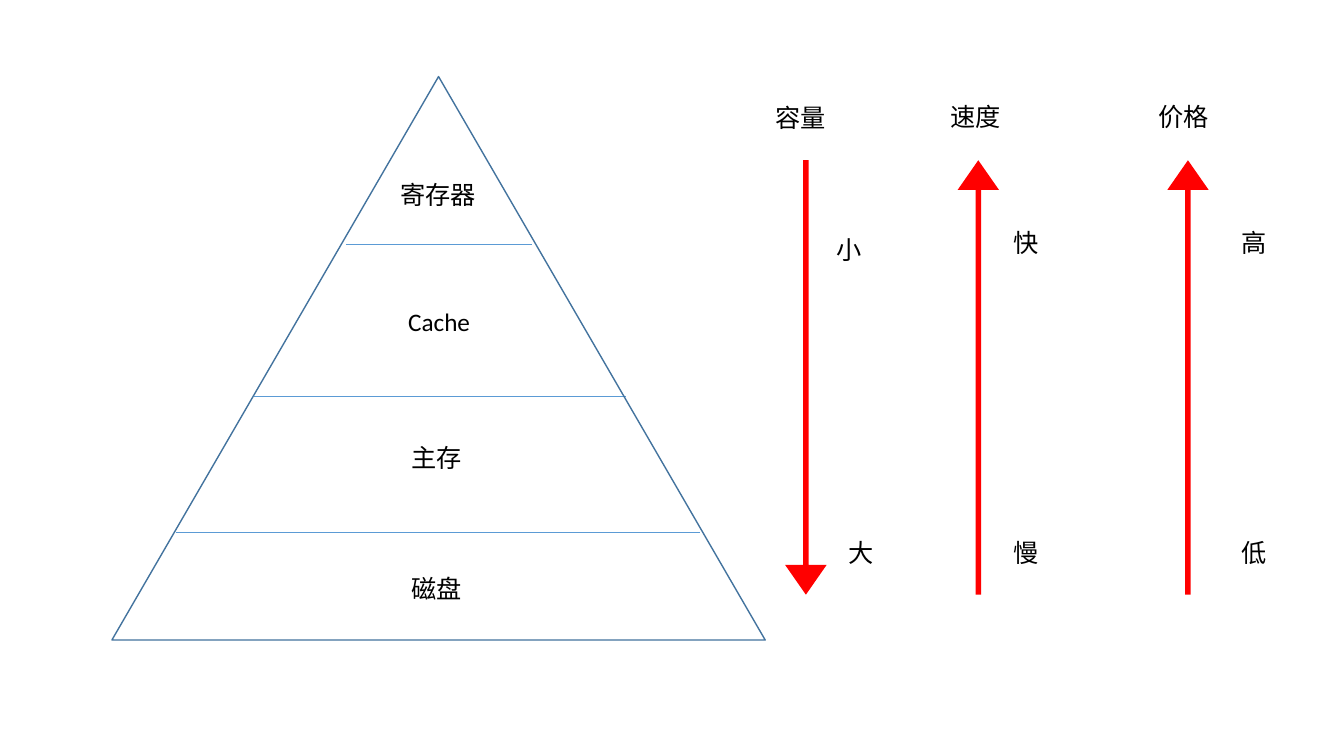
"""Build a slide of the memory hierarchy pyramid with its three trend arrows."""
from dataclasses import dataclass

from lxml.etree import SubElement
from pptx import Presentation
from pptx.dml.color import RGBColor
from pptx.enum.shapes import MSO_CONNECTOR as Connector, MSO_SHAPE as Preset
from pptx.enum.text import MSO_AUTO_SIZE as AutoSize
from pptx.oxml.ns import qn
from pptx.shapes.shapetree import _BaseGroupShapes as Shapes
from pptx.util import Inches, Length, Pt

WIDTH, HEIGHT = Inches(13.33), Inches(7.5)
LABEL_HEIGHT = 5.33


@dataclass(frozen=True)
class Label:
    """A word at a place given in percent of the slide."""
    text: str
    left: float
    top: float
    width: float
    wrap: bool = True


@dataclass(frozen=True)
class Divider:
    """A level line of the pyramid in percent of the slide."""
    left: float
    right: float
    top: float


@dataclass(frozen=True)
class Trend:
    """An arrow centre in percent of the slide width, and its turn."""
    centre: float
    rotation: int


DIVIDERS = [
    Divider(25.73, 39.6, 32.27),
    Divider(18.9, 46.58, 52.4),
    Divider(13.13, 52.05, 70.4),
]
LEVELS = [
    Label("寄存器", 29.03, 23.07, 7.2, wrap=False),
    Label("Cache", 29.63, 39.87, 7.28),
    Label("主存", 29.85, 57.87, 5.55),
    Label("磁盘", 29.85, 75.2, 5.93),
]
TRENDS = [Trend(59.96, 90), Trend(72.79, 270), Trend(88.39, 270)]
TREND_LABELS = [
    Label("容量", 56.93, 12.93, 6.45),
    Label("速度", 69.98, 12.8, 5.63),
    Label("价格", 85.43, 12.8, 6.45),
    Label("小", 61.5, 30.4, 3.38, wrap=False),
    Label("大", 62.4, 70.4, 3.08),
    Label("快", 74.7, 29.47, 3.3),
    Label("慢", 74.7, 70.4, 5.48),
    Label("高", 91.65, 29.47, 3.08),
    Label("低", 91.65, 70.4, 4.13),
]


def across(percent: float) -> Length:
    """Return a share of the slide width."""
    return Length(round(WIDTH * percent / 100))


def down(percent: float) -> Length:
    """Return a share of the slide height."""
    return Length(round(HEIGHT * percent / 100))


def colour(code: str) -> RGBColor:
    """Return the colour for a hex string."""
    return RGBColor.from_string(code)


def draw_label(shapes: Shapes, label: Label) -> None:
    """Write one word in a text box."""
    box = shapes.add_textbox(across(label.left), down(label.top),
                             across(label.width), down(LABEL_HEIGHT))
    frame = box.text_frame
    frame.word_wrap = label.wrap
    frame.auto_size = AutoSize.SHAPE_TO_FIT_TEXT
    span = frame.paragraphs[0].add_run()
    span.text = label.text
    span.font.name = "Calibri"
    span.font.size = Pt(18)
    span.font.color.rgb = colour("000000")


def draw_divider(shapes: Shapes, divider: Divider) -> None:
    """Draw one line between two levels."""
    line = shapes.add_connector(
        Connector.STRAIGHT, across(divider.left), down(divider.top),
        across(divider.right), down(divider.top))
    line.line.color.rgb = colour("5B9BD5")
    line.line.width = Pt(0.5)
    SubElement(line._element.spPr, qn("a:effectLst"))


def draw_pyramid(shapes: Shapes) -> None:
    """Draw the outline of the pyramid."""
    pyramid = shapes.add_shape(Preset.ISOSCELES_TRIANGLE, across(8.33),
                               down(10.13), across(48.61), down(74.53))
    pyramid.shadow.inherit = False
    pyramid.fill.background()
    pyramid.line.color.rgb = colour("43739E")
    pyramid.line.width = Pt(1)


def draw_trend(shapes: Shapes, trend: Trend) -> None:
    """Draw one upright red arrow, turned about its centre."""
    length, thickness = down(57.47), across(3.08)
    arrow = shapes.add_shape(
        Preset.RIGHT_ARROW, across(trend.centre) - length // 2,
        down(49.93) - thickness // 2, length, thickness)
    arrow.rotation = trend.rotation
    arrow.adjustments[0] = 0.134
    arrow.adjustments[1] = 0.717
    arrow.shadow.inherit = False
    arrow.fill.solid()
    arrow.fill.fore_color.rgb = colour("FF0000")
    arrow.line.fill.background()


def main() -> None:
    """Build and save the deck."""
    deck = Presentation()
    deck.slide_width, deck.slide_height = WIDTH, HEIGHT
    page = deck.slides.add_slide(deck.slide_layouts.get_by_name("Blank"))
    hierarchy = page.shapes.add_group_shape().shapes
    for divider in DIVIDERS:
        draw_divider(hierarchy, divider)
    for level in LEVELS:
        draw_label(hierarchy, level)
    draw_pyramid(hierarchy)
    for trend in TRENDS:
        draw_trend(page.shapes, trend)
    for label in TREND_LABELS:
        draw_label(page.shapes, label)
    deck.save("out.pptx")


if __name__ == "__main__":
    main()
